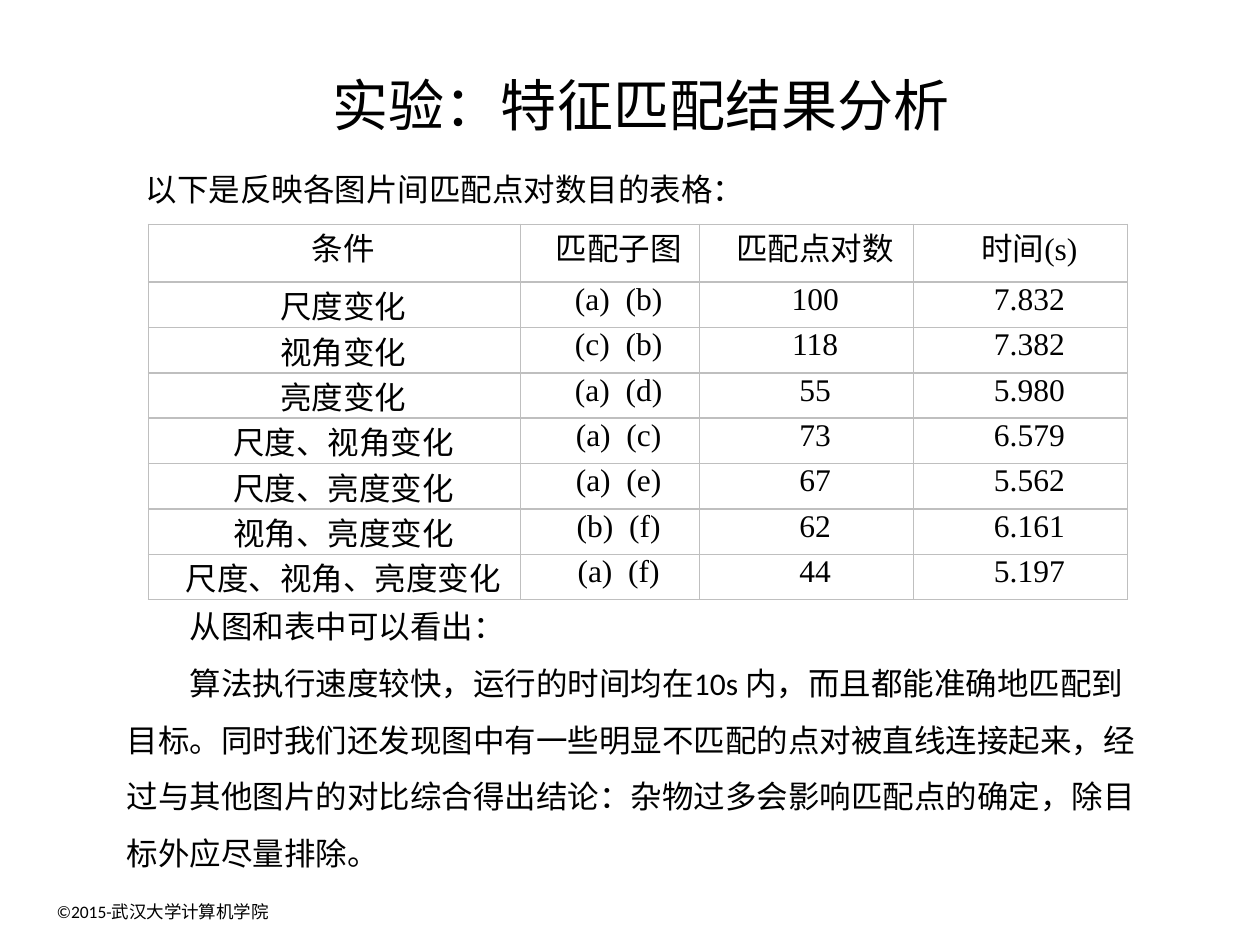
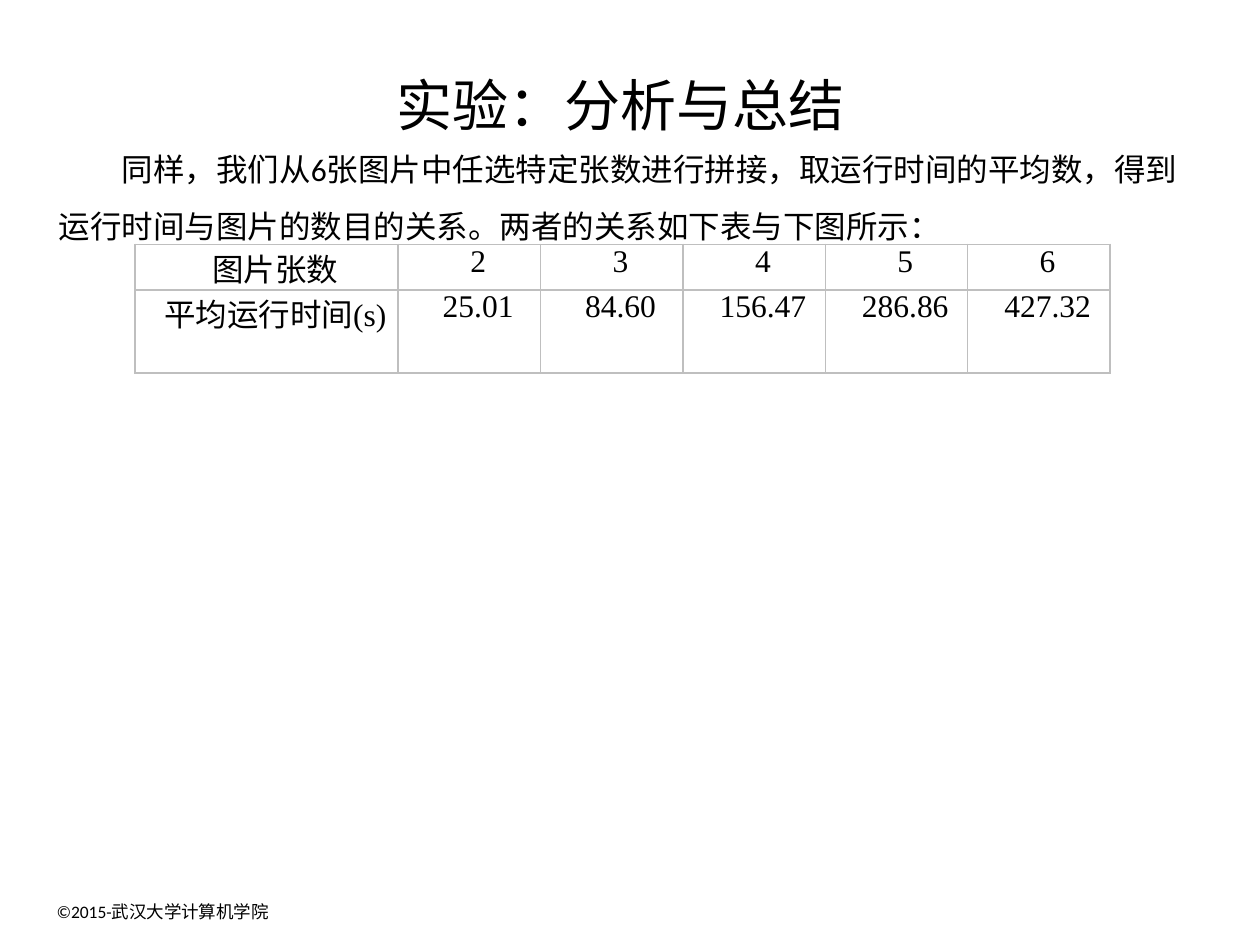
import dataclasses

import pptx
import pptx.dml.color
import pptx.enum.text
import pptx.oxml
import pptx.oxml.ns
import pptx.util

PX = 9144  # EMU per px, 100 px to the inch
BLACK = "000000"
GRID = "BFBFBF"
BODY_FONT = "Calibri"
TABLE_FONT = "Times New Roman"
FOOTER = "©2015-武汉大学计算机学院"
BODY_INDENT = 50
CELL_INDENT = 14
CELL_MARGIN = 7
ROW_HEIGHT = 36

LEFT = pptx.enum.text.PP_ALIGN.LEFT
CENTER = pptx.enum.text.PP_ALIGN.CENTER
TOP = pptx.enum.text.MSO_ANCHOR.TOP
MIDDLE = pptx.enum.text.MSO_ANCHOR.MIDDLE


@dataclasses.dataclass
class TextBlock:
    left: int
    top: int
    width: int
    height: int
    lines: list[str]
    size: int = 18
    align: int = LEFT
    anchor: int = TOP
    indent: int = 0
    spacing: float = 1.0


@dataclasses.dataclass
class Grid:
    left: int
    top: int
    columns: list[int]
    rows: list[int]
    values: list[list[str]]


@dataclasses.dataclass
class Content:
    title: str
    title_left: int
    blocks: list[TextBlock]
    grid: Grid


def px(length: int) -> pptx.util.Emu:
    return pptx.util.Emu(length * PX)


def color(code: str) -> pptx.dml.color.RGBColor:
    return pptx.dml.color.RGBColor.from_string(code)


def format_para(para, font: str, size: int, align: int, indent: int) -> None:
    para.alignment = align
    if indent:
        para._p.get_or_add_pPr().set("indent", str(px(indent)))
    for span in para.runs:
        span.font.name = font
        span.font.size = pptx.util.Pt(size)
        span.font.bold = False
        span.font.color.rgb = color(BLACK)


def draw_text(page, block: TextBlock) -> None:
    box = page.shapes.add_textbox(
        px(block.left), px(block.top), px(block.width), px(block.height))
    frame = box.text_frame
    frame.word_wrap = True
    frame.vertical_anchor = block.anchor
    frame.text = "\n".join(block.lines)
    for para in frame.paragraphs:
        para.line_spacing = block.spacing
        format_para(para, BODY_FONT, block.size, block.align, block.indent)


def draw_borders(cell) -> None:
    properties = cell._tc.get_or_add_tcPr()
    namespace = pptx.oxml.ns.nsdecls("a")
    for position, side in enumerate(("lnL", "lnR", "lnT", "lnB")):
        properties.insert(position, pptx.oxml.parse_xml(
            f'<a:{side} {namespace} w="12700"><a:solidFill>'
            f'<a:srgbClr val="{GRID}"/></a:solidFill></a:{side}>'))


def draw_grid(page, grid: Grid) -> None:
    table = page.shapes.add_table(
        len(grid.rows), len(grid.columns), px(grid.left), px(grid.top),
        px(sum(grid.columns)), px(sum(grid.rows))).table
    table.first_row = False
    table.horz_banding = False
    for column, width in zip(table.columns, grid.columns):
        column.width = px(width)
    for row, height, values in zip(table.rows, grid.rows, grid.values):
        row.height = px(height)
        for cell, value in zip(row.cells, values):
            cell.margin_left = cell.margin_right = px(CELL_MARGIN)
            cell.margin_top = cell.margin_bottom = 0
            cell.fill.background()
            draw_borders(cell)
            cell.text_frame.text = value
            format_para(cell.text_frame.paragraphs[0], TABLE_FONT, 18, CENTER, CELL_INDENT)


def draw_page(deck, content: Content) -> None:
    page = deck.slides.add_slide(deck.slide_layouts[6])
    draw_text(page, TextBlock(35, 710, 191, 27, [FOOTER], size=10))
    draw_text(page, TextBlock(content.title_left, 51, 900, 64, [content.title],
                              size=32, align=CENTER, anchor=MIDDLE))
    draw_grid(page, content.grid)
    for block in content.blocks:
        draw_text(page, block)


# Matching results
MATCHING = Content(
    "实验：特征匹配结果分析", 59,
    [
        TextBlock(106, 130, 500, 40, ["以下是反映各图片间匹配点对数目的表格："]),
        TextBlock(91, 462, 827, 237, [
            "从图和表中可以看出：",
            "算法执行速度较快，运行的时间均在10s 内，而且都能准确地匹配到目标。"
            "同时我们还发现图中有一些明显不匹配的点对被直线连接起来，"
            "经过与其他图片的对比综合得出结论：杂物过多会影响匹配点的确定，"
            "除目标外应尽量排除。",
        ], indent=BODY_INDENT, spacing=1.5),
    ],
    Grid(118, 178, [295, 142, 170, 170], [46] + [ROW_HEIGHT] * 7, [
        ["条件", "匹配子图", "匹配点对数", "时间(s)"],
        ["尺度变化", "(a)  (b)", "100", "7.832"],
        ["视角变化", "(c)  (b)", "118", "7.382"],
        ["亮度变化", "(a)  (d)", "55", "5.980"],
        ["尺度、视角变化", "(a)  (c)", "73", "6.579"],
        ["尺度、亮度变化", "(a)  (e)", "67", "5.562"],
        ["视角、亮度变化", "(b)  (f)", "62", "6.161"],
        ["尺度、视角、亮度变化", "(a)  (f)", "44", "5.197"],
    ]),
)

# Running time by number of images
SUMMARY = Content(
    "实验：分析与总结", 43,
    [
        TextBlock(37, 99, 913, 101, [
            "同样，我们从6张图片中任选特定张数进行拼接，取运行时间的平均数，"
            "得到运行时间与图片的数目的关系。两者的关系如下表与下图所示：",
        ], indent=BODY_INDENT, spacing=1.5),
    ],
    Grid(107, 194, [209] + [113] * 5, [ROW_HEIGHT, 66], [
        ["图片张数", "2", "3", "4", "5", "6"],
        ["平均运行时间(s)", "25.01", "84.60", "156.47", "286.86", "427.32"],
    ]),
)


def main() -> None:
    deck = pptx.Presentation()
    deck.slide_width = px(1000)
    deck.slide_height = px(750)
    for content in (MATCHING, SUMMARY):
        draw_page(deck, content)
    deck.save("out.pptx")


if __name__ == "__main__":
    main()
